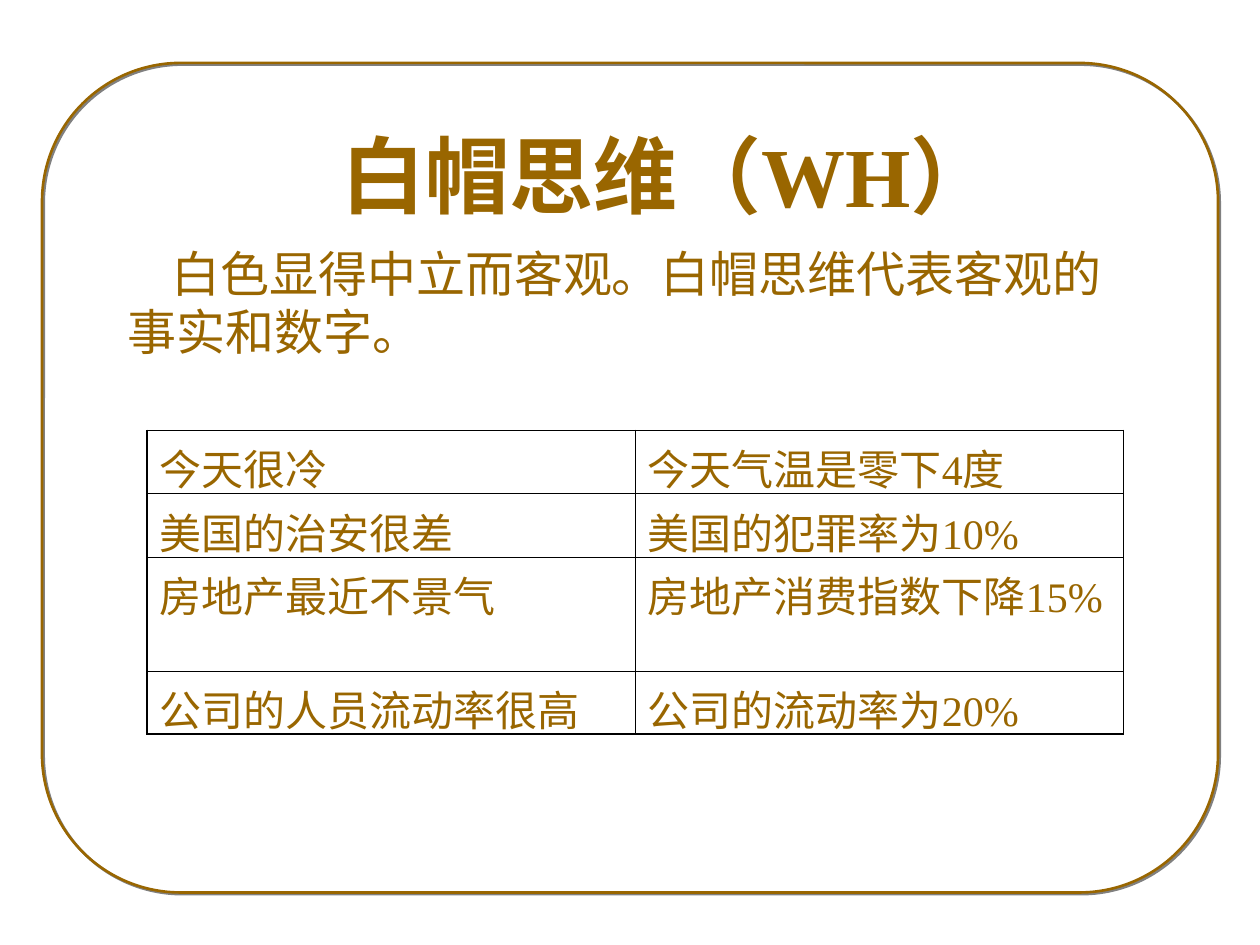
from lxml import etree
from pptx import Presentation
from pptx.dml.color import RGBColor
from pptx.enum.shapes import MSO_SHAPE
from pptx.enum.text import MSO_AUTO_SIZE
from pptx.oxml import parse_xml
from pptx.oxml.ns import nsdecls, qn
from pptx.util import Pt

BROWN, BLACK, WHITE, GREY = "996600", "000000", "FFFFFF", "808080"
TITLE = {"size": Pt(48), "name": "Times New Roman", "bold": True}
BODY = {"size": Pt(28), "name": "Noto Sans CJK SC"}
CELL = {"size": Pt(24), "name": "Times New Roman"}
ROWS = [
    ("今天很冷", "今天气温是零下4度"),
    ("美国的治安很差", "美国的犯罪率为10%"),
    ("房地产最近不景气", "房地产消费指数下降15%"),
    ("公司的人员流动率很高", "公司的流动率为20%"),
]
ROW_HEIGHTS = (36.2, 36.2, 65, 36.2)


def color(value):
    """Turn a hex string into a colour."""
    return RGBColor.from_string(value)


def write(tf, text, fmt):
    """Write one formatted run and return its paragraph."""
    p = tf.paragraphs[0]
    r = p.add_run()
    r.text = text
    for key, value in fmt.items():
        setattr(r.font, key, value)
    r.font.color.rgb = color(BROWN)
    return p


def add_frame(s, x, y, w, h):
    """Draw the rounded frame with its narrow shadow."""
    sp = s.shapes.add_shape(MSO_SHAPE.ROUNDED_RECTANGLE, Pt(x), Pt(y), Pt(w), Pt(h))
    sp.adjustments[0] = 0.167
    sp.fill.background()
    sp.line.color.rgb = color(BROWN)
    sp.line.width = Pt(1.5)
    sp.shadow.inherit = False
    effects = sp._element.spPr.find(qn("a:effectLst"))
    effects.append(parse_xml(
        f'<a:outerShdw {nsdecls("a")} dist="{Pt(1.4)}" dir="2700000" algn="ctr" '
        f'rotWithShape="0"><a:srgbClr val="{GREY}"/></a:outerShdw>'))


def add_text(s, x, y, w, h, text, fmt, indent=0):
    """Place a text box with an optional first-line indent."""
    tf = s.shapes.add_textbox(Pt(x), Pt(y), Pt(w), Pt(h)).text_frame
    tf.word_wrap = True
    tf.auto_size = MSO_AUTO_SIZE.SHAPE_TO_FIT_TEXT
    p = write(tf, text, fmt)
    if indent:
        p._p.get_or_add_pPr().set("indent", str(Pt(indent)))


def set_borders(cell, widths):
    """Give a cell black borders with a width for each side."""
    tcPr = cell._tc.get_or_add_tcPr()
    for side, width in widths.items():
        ln = etree.SubElement(tcPr, qn(f"a:ln{side}"), w=str(Pt(width)))
        fill = etree.SubElement(ln, qn("a:solidFill"))
        etree.SubElement(fill, qn("a:srgbClr"), val=BLACK)


def add_comparison(s, x, y, w, h):
    """Build the table of opinions and facts, with a heavier outer edge."""
    n_rows, n_cols = len(ROWS), len(ROWS[0])
    table = s.shapes.add_table(n_rows, n_cols, Pt(x), Pt(y), Pt(w), Pt(h)).table
    table.first_row = table.horz_banding = False
    for col in table.columns:
        col.width = Pt(w / n_cols)
    for i, (texts, height) in enumerate(zip(ROWS, ROW_HEIGHTS)):
        table.rows[i].height = Pt(height)
        for j, text in enumerate(texts):
            cell = table.cell(i, j)
            outer = {"L": j == 0, "R": j == n_cols - 1, "T": i == 0, "B": i == n_rows - 1}
            set_borders(cell, {k: 1.08 if edge else 0.45 for k, edge in outer.items()})
            cell.fill.solid()
            cell.fill.fore_color.rgb = color(WHITE)
            cell.margin_top, cell.margin_bottom = Pt(3.8), Pt(0)
            write(cell.text_frame, text, CELL)


def main():
    """Build and save the slide."""
    prs = Presentation()
    prs.slide_width, prs.slide_height = Pt(720), Pt(540)
    s = prs.slides.add_slide(prs.slide_layouts[6])
    add_frame(s, 24, 36, 672, 474)
    add_text(s, 66, 135.4, 588, 75, "白色显得中立而客观。白帽思维代表客观的事实和数字。", BODY, indent=25)
    add_text(s, 188, 67, 430, 64.8, "白帽思维（WH）", TITLE)
    add_comparison(s, 84, 246, 558, sum(ROW_HEIGHTS))
    prs.save("out.pptx")


if __name__ == "__main__":
    main()
